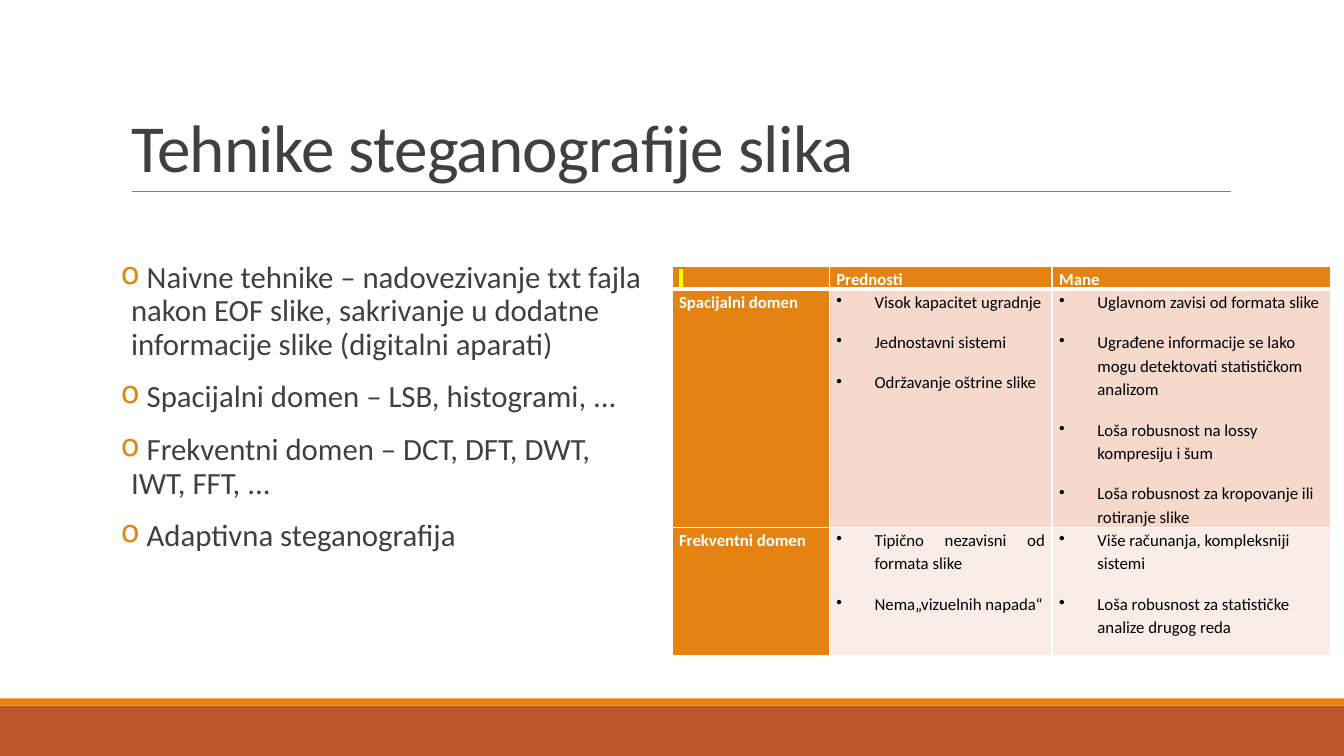
import pptx
import pptx.util
import pptx.dml.color
import pptx.enum.shapes
import pptx.enum.text
import pptx.oxml
import pptx.oxml.ns
from lxml import etree

Inches = pptx.util.Inches
Pt = pptx.util.Pt
RGBColor = pptx.dml.color.RGBColor
Align = pptx.enum.text.PP_ALIGN
qn = pptx.oxml.ns.qn

TITLE = "Tehnike steganografije slika"
TECHNIQUES = [
    "Naivne tehnike – nadovezivanje txt fajla nakon EOF slike, sakrivanje u dodatne "
    "informacije slike (digitalni aparati)",
    "Spacijalni domen – LSB, histogrami, ...",
    "Frekventni domen – DCT, DFT, DWT, IWT, FFT, ...",
    "Adaptivna steganografija",
]
HEADINGS = ["\u00a0", "Prednosti", "Mane"]
DOMAINS = [
    ("Spacijalni domen",
     ["Visok kapacitet ugradnje", "Jednostavni sistemi", "Održavanje oštrine slike"],
     ["Uglavnom zavisi od formata slike",
      "Ugrađene informacije se lako mogu detektovati statističkom analizom",
      "Loša robusnost na lossy kompresiju i šum",
      "Loša robusnost za kropovanje ili rotiranje slike"]),
    ("Frekventni domen",
     ["Tipično nezavisni od formata slike", "Nema„vizuelnih napada“"],
     ["Više računanja, kompleksniji sistemi",
      "Loša robusnost za statističke analize drugog reda"]),
]

FONT = "Calibri"
ORANGE = RGBColor(0xE4, 0x83, 0x12)
RUST = RGBColor(0xBD, 0x58, 0x2C)
GRAY = RGBColor(0x80, 0x80, 0x80)
DARK = RGBColor(0x40, 0x40, 0x40)
BLACK = RGBColor(0, 0, 0)
WHITE = RGBColor(0xFF, 0xFF, 0xFF)
YELLOW = RGBColor(0xFF, 0xFF, 0)
BANDS = [RGBColor(0xF5, 0xD9, 0xCC), RGBColor(0xFA, 0xED, 0xE7)]

WIDTH, HEIGHT = 13.33, 7.5
FOOTER_TOP, STRIPE = 7, 0.07
COLUMNS = [1.56, 2.21, 2.76]
ROWS = [0.23, 2.36, 1.27]
TABLE_LEFT, TABLE_TOP = WIDTH / 2, 2.64


def add_run(paragraph, text, size, color, bold=False):
    run = paragraph.add_run()
    run.text = text
    run.font.name = FONT
    run.font.size = Pt(size)
    run.font.bold = bold
    run.font.color.rgb = color
    return run


def add_bullet(paragraph, character, indent, color):
    properties = paragraph._p.get_or_add_pPr()
    properties.set("marL", str(Inches(indent)))
    properties.set("indent", str(-Inches(indent)))
    bullet_color = etree.SubElement(properties, qn("a:buClr"))
    etree.SubElement(bullet_color, qn("a:srgbClr"), val=str(color))
    etree.SubElement(properties, qn("a:buChar"), char=character)


def paragraphs_for(text_frame, texts):
    """Yield one paragraph for each text, starting with the existing one."""
    for index, text in enumerate(texts):
        yield (text_frame.add_paragraph() if index else text_frame.paragraphs[0]), text


def add_bar(slide, top, height, color):
    bar = slide.shapes.add_shape(pptx.enum.shapes.MSO_SHAPE.RECTANGLE,
                                 0, Inches(top), Inches(WIDTH), Inches(height))
    bar.shadow.inherit = False
    bar.fill.solid()
    bar.fill.fore_color.rgb = color
    bar.line.fill.background()


def add_title_rule(slide):
    y = Inches(1.9)
    rule = slide.shapes.add_connector(pptx.enum.shapes.MSO_CONNECTOR.STRAIGHT,
                                      Inches(1.31), y, Inches(12.21), y)
    rule.line.color.rgb = GRAY
    rule.line.width = Pt(0.5)
    etree.SubElement(rule._element.spPr, qn("a:effectLst"))


def fill_title(title):
    title.left, title.top = Inches(1.2), Inches(0.31)
    title.width, title.height = Inches(11), Inches(1.59)
    frame = title.text_frame
    frame.auto_size = pptx.enum.text.MSO_AUTO_SIZE.NONE
    frame.vertical_anchor = pptx.enum.text.MSO_ANCHOR.BOTTOM
    paragraph = frame.paragraphs[0]
    paragraph.alignment = Align.LEFT
    paragraph.line_spacing = 0.85
    run = add_run(paragraph, TITLE, 48, DARK)
    run._r.get_or_add_rPr().set("spc", "-50")


def add_techniques(slide):
    box = slide.shapes.add_textbox(Inches(1.2), Inches(2.55), Inches(5.25), Inches(3.87))
    frame = box.text_frame
    frame.word_wrap = True
    frame.margin_left = frame.margin_right = 0
    for paragraph, text in paragraphs_for(frame, TECHNIQUES):
        paragraph.line_spacing = 0.9
        paragraph.space_before = Pt(12)
        paragraph.space_after = Pt(2)
        add_bullet(paragraph, "o", 0.1, ORANGE)
        add_run(paragraph, " " + text, 22, DARK)
    frame.paragraphs[0].space_before = Pt(0)


def set_borders(cell, top, bottom):
    """Draw white borders, with the top and bottom widths in points."""
    properties = cell._tc.get_or_add_tcPr()
    widths = [("a:lnL", 1), ("a:lnR", 1), ("a:lnT", top), ("a:lnB", bottom)]
    for index, (tag, width) in enumerate(widths):
        border = etree.Element(qn(tag), w=str(Pt(width)))
        fill = etree.SubElement(border, qn("a:solidFill"))
        etree.SubElement(fill, qn("a:srgbClr"), val=str(WHITE))
        properties.insert(index, border)


def fill_cell(cell, texts, fill, color, alignment, bulleted):
    cell.fill.solid()
    cell.fill.fore_color.rgb = fill
    cell.margin_left = cell.margin_right = Inches(0.07)
    cell.margin_top = cell.margin_bottom = 0
    for paragraph, text in paragraphs_for(cell.text_frame, texts):
        paragraph.alignment = alignment
        paragraph.line_spacing = 1.15
        paragraph.space_after = Pt(12)
        if bulleted:
            add_bullet(paragraph, "•", 0.38, color)
        add_run(paragraph, text, 12, color, bold=not bulleted)


def highlight(run, color):
    mark = etree.Element(qn("a:highlight"))
    etree.SubElement(mark, qn("a:srgbClr"), val=str(color))
    run._r.get_or_add_rPr().find(qn("a:solidFill")).addnext(mark)


def add_comparison(slide):
    table = slide.shapes.add_table(len(ROWS), len(COLUMNS), Inches(TABLE_LEFT),
                                   Inches(TABLE_TOP), Inches(sum(COLUMNS)),
                                   Inches(sum(ROWS))).table
    for column, width in zip(table.columns, COLUMNS):
        column.width = Inches(width)
    for row, height in zip(table.rows, ROWS):
        row.height = Inches(height)

    for column, heading in enumerate(HEADINGS):
        fill_cell(table.cell(0, column), [heading], ORANGE, WHITE, Align.JUSTIFY, False)
    highlight(table.cell(0, 0).text_frame.paragraphs[0].runs[0], YELLOW)

    for row, ((domain, advantages, drawbacks), band) in enumerate(zip(DOMAINS, BANDS), 1):
        fill_cell(table.cell(row, 0), [domain], ORANGE, WHITE, Align.JUSTIFY, False)
        fill_cell(table.cell(row, 1), advantages, band, BLACK, Align.JUSTIFY, True)
        fill_cell(table.cell(row, 2), drawbacks, band, BLACK, Align.LEFT, True)

    for row in range(len(ROWS)):
        for column in range(len(COLUMNS)):
            set_borders(table.cell(row, column), top=3 if row == 1 else 1,
                        bottom=3 if row == 0 else 1)


def main():
    presentation = pptx.Presentation()
    presentation.slide_width = Inches(WIDTH)
    presentation.slide_height = Inches(HEIGHT)
    slide = presentation.slides.add_slide(presentation.slide_layouts[5])
    add_bar(slide, FOOTER_TOP, HEIGHT - FOOTER_TOP, RUST)
    add_bar(slide, FOOTER_TOP - STRIPE, STRIPE, ORANGE)
    add_title_rule(slide)
    fill_title(slide.shapes.title)
    add_techniques(slide)
    add_comparison(slide)
    presentation.save("out.pptx")


if __name__ == "__main__":
    main()
